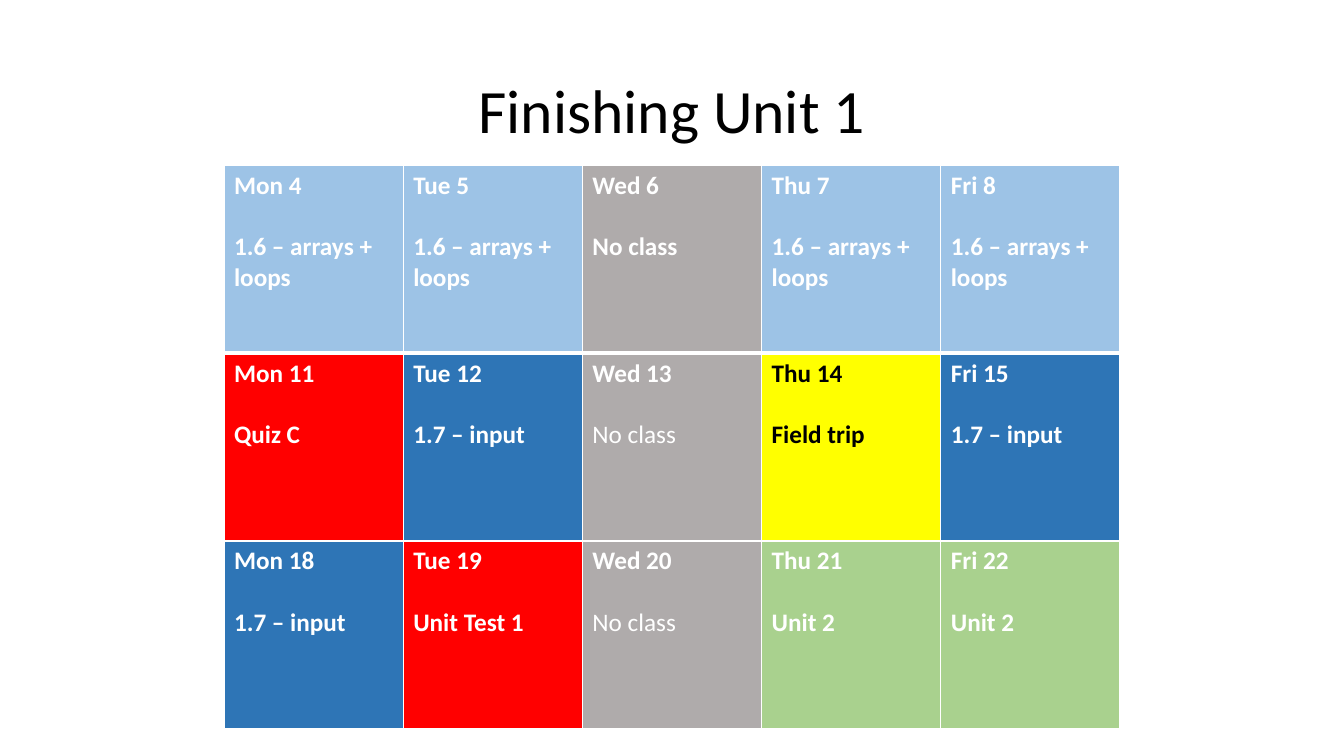
from lxml.etree import SubElement
from pptx import Presentation
from pptx.dml.color import RGBColor
from pptx.enum.text import MSO_ANCHOR, PP_ALIGN
from pptx.oxml.ns import qn
from pptx.util import Inches, Pt

SLIDE_W, SLIDE_H = 13.33, 7.5
WHITE, BLACK = "FFFFFF", "000000"
ARRAYS, INPUT, TEST, OFF, TRIP, NEXT_UNIT = (
    "9DC3E6", "2E75B6", "FF0000", "AFABAB", "FFFF00", "A9D18E")
DAY_NAMES = ["Mon", "Tue", "Wed", "Thu", "Fri"]
ARRAYS_DAY = ("1.6 – arrays + loops", ARRAYS)
INPUT_DAY = ("1.7 – input", INPUT)
NO_CLASS = ("No class", OFF)
UNIT_2_DAY = ("Unit 2", NEXT_UNIT)
WEEKS = {  # date of each Monday: plans for its five days
    4: [ARRAYS_DAY, ARRAYS_DAY, NO_CLASS, ARRAYS_DAY, ARRAYS_DAY],
    11: [("Quiz C", TEST), INPUT_DAY, NO_CLASS, ("Field trip", TRIP), INPUT_DAY],
    18: [INPUT_DAY, ("Unit Test 1", TEST), NO_CLASS, UNIT_2_DAY, UNIT_2_DAY],
}


def color(hex_value):
    return RGBColor.from_string(hex_value)


def write(paragraph, text, size=18, ink=WHITE, bold=False, align=PP_ALIGN.LEFT,
          before=0, line_spacing=1.0):
    paragraph.alignment = align
    paragraph.space_before = Pt(before)
    paragraph.line_spacing = line_spacing
    run = paragraph.add_run()
    run.text = text
    font = run.font
    font.name, font.size, font.bold = "Calibri", Pt(size), bold
    font.color.rgb = color(ink)


def add_borders(cell, **widths):
    """Draw white borders; call before filling, since the fill follows them in the XML."""
    properties = cell._tc.get_or_add_tcPr()
    for side in "LRTB":
        line = SubElement(properties, qn(f"a:ln{side}"), w=str(Pt(widths.get(side, 1))))
        solid = SubElement(line, qn("a:solidFill"))
        SubElement(solid, qn("a:srgbClr"), val=WHITE)


def add_title(slide, text, left, top, width, height):
    title = slide.shapes.title
    title.left, title.top = Inches(left), Inches(top)
    title.width, title.height = Inches(width), Inches(height)
    title.text_frame.word_wrap = True
    title.text_frame.vertical_anchor = MSO_ANCHOR.MIDDLE
    write(title.text_frame.paragraphs[0], text, size=44, ink=BLACK,
          align=PP_ALIGN.CENTER, line_spacing=0.9)


def fill_day(cell, date, plan, fill, first_week):
    cell.fill.solid()
    cell.fill.fore_color.rgb = color(fill)
    ink = BLACK if fill == TRIP else WHITE
    frame = cell.text_frame
    write(frame.paragraphs[0], date, ink=ink, bold=True)
    write(frame.add_paragraph(), plan, ink=ink, before=22,
          bold=first_week or fill != OFF)


def add_calendar(slide, left, top, width, height):
    calendar = slide.shapes.add_table(
        len(WEEKS), len(DAY_NAMES), Inches(left), Inches(top),
        Inches(width), Inches(height)).table
    calendar.horz_banding = False
    for week, (monday, plans) in enumerate(WEEKS.items()):
        for day, (plan, fill) in enumerate(plans):
            cell = calendar.cell(week, day)
            add_borders(cell, T=3 if week == 1 else 1, B=3 if week == 0 else 1)
            date = f"{DAY_NAMES[day]} {monday + day}"
            fill_day(cell, date, plan, fill, first_week=week == 0)


def main():
    deck = Presentation()
    deck.slide_width, deck.slide_height = Inches(SLIDE_W), Inches(SLIDE_H)
    slide = deck.slides.add_slide(deck.slide_layouts[5])
    calendar_width = SLIDE_W * 2 / 3
    add_calendar(slide, (SLIDE_W - calendar_width) / 2, 1.64, calendar_width, 5.59)
    title_width = 11.5
    add_title(slide, "Finishing Unit 1", (SLIDE_W - title_width) / 2, 0.4,
              title_width, 1.45)
    deck.save("out.pptx")


if __name__ == "__main__":
    main()
